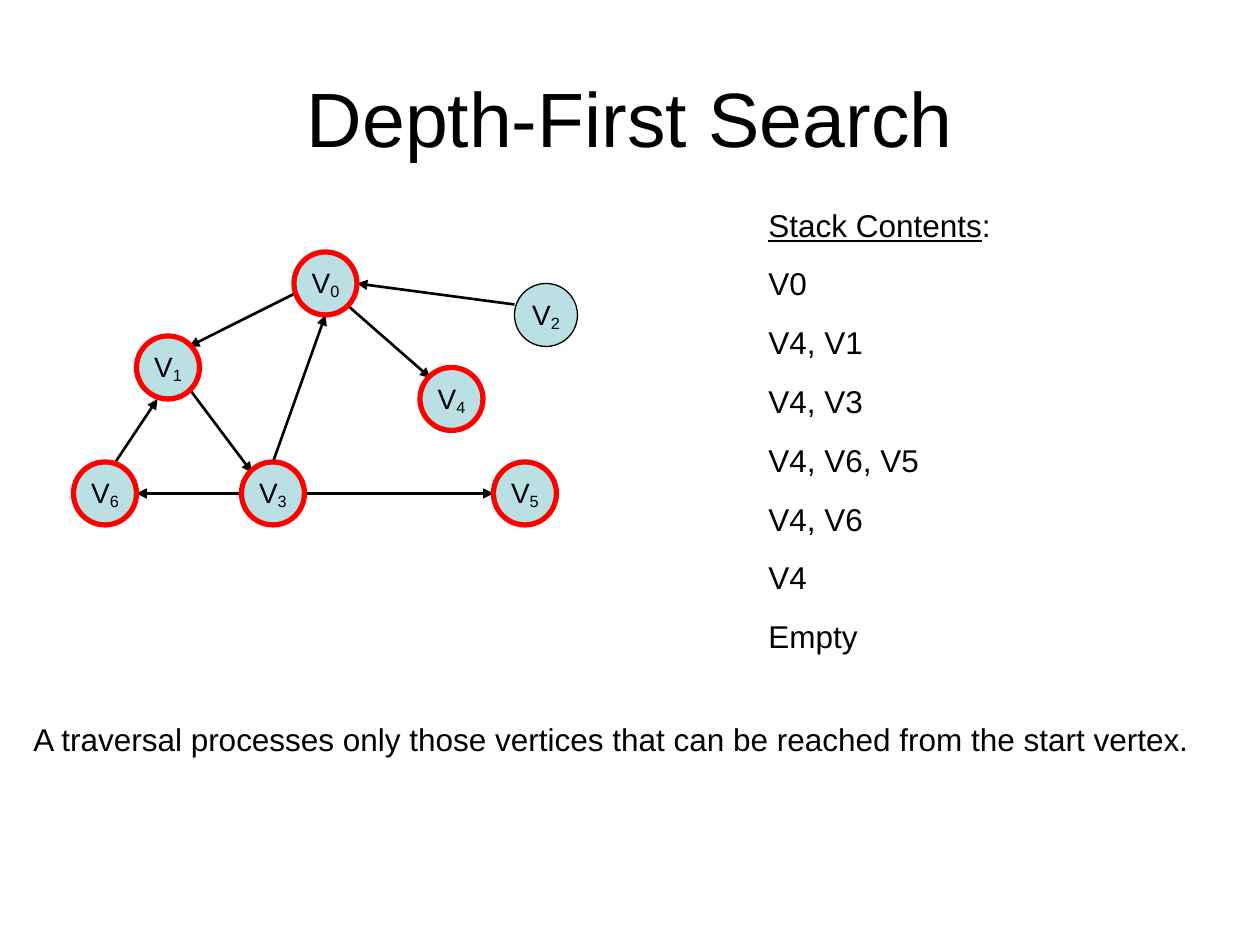
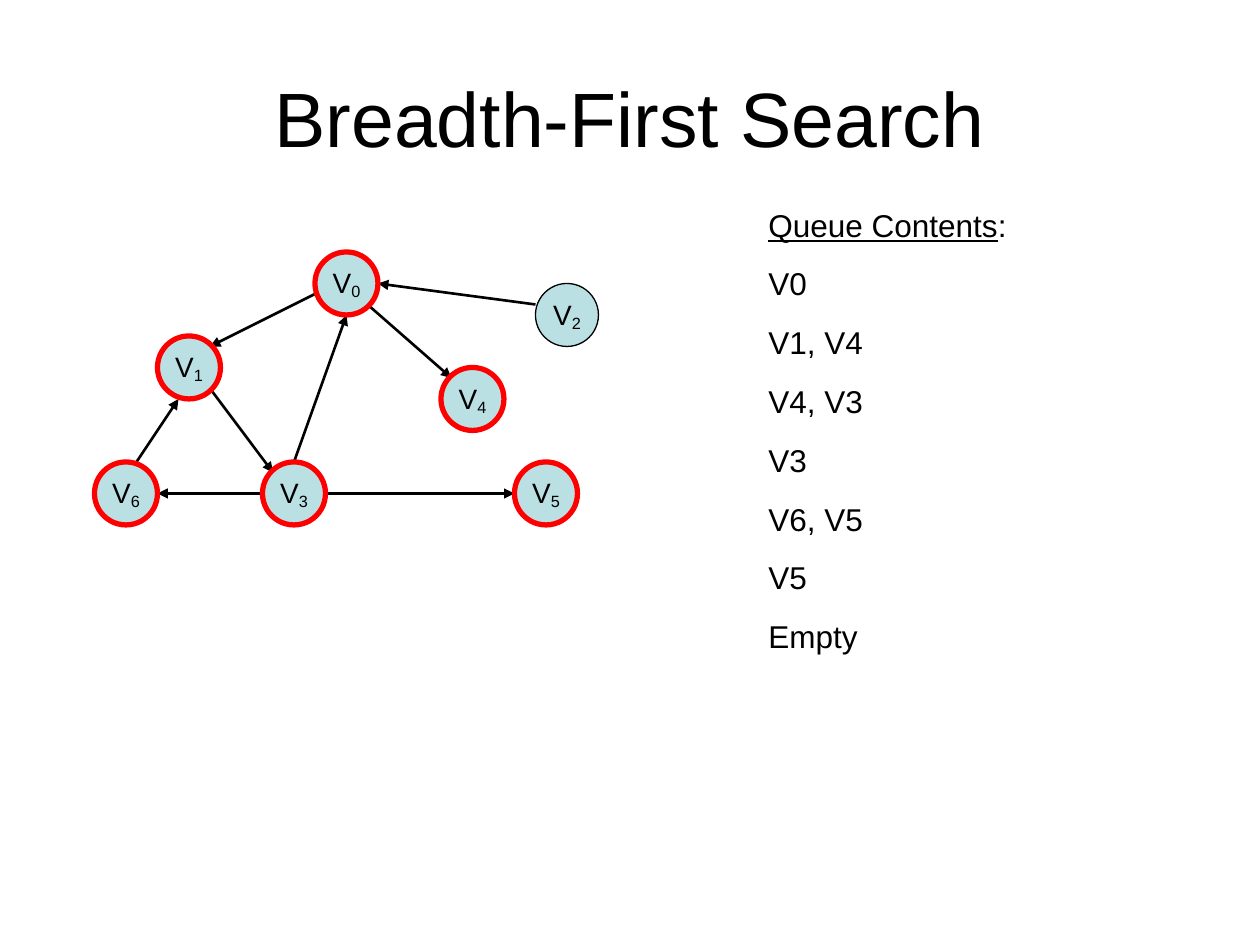
from lxml import etree
from pptx import Presentation
from pptx.dml.color import RGBColor
from pptx.enum import shapes, text
from pptx.oxml import ns
from pptx.util import Pt

BLACK, RED, AQUA = "000000", "FF0000", "BBE0E3"
SIZE = 36
NODES = {0: (168, 144), 2: (294, 162), 4: (240, 210), 3: (138, 264),
         1: (78, 192), 6: (42, 264), 5: (282, 264)}
EDGES = [(294, 174, 204, 162), (156, 264, 186, 180), (198, 174, 246, 216),
         (168, 168, 108, 198), (66, 264, 90, 228), (138, 282, 78, 282),
         (174, 282, 282, 282), (108, 222, 144, 270)]
PAGES = [
    ("Depth-First Search", "Stack Contents", 0,
     ["V0", "V4, V1", "V4, V3", "V4, V6, V5", "V4, V6", "V4", "Empty"],
     "A traversal processes only those vertices that can be reached from the start vertex."),
    ("Breadth-First Search", "Queue Contents", 12,
     ["V0", "V1, V4", "V4, V3", "V3", "V6, V5", "V5", "Empty"], None),
]


def hue(code):
    return RGBColor.from_string(code)


def write(slide, box, lines, size):
    frame = slide.shapes.add_textbox(*map(Pt, box)).text_frame
    frame.word_wrap = True
    for i, line in enumerate(lines):
        para = frame.paragraphs[0] if i == 0 else frame.add_paragraph()
        if i:
            para.space_before = Pt(12)
        para.text = line
        para.font.name = "Arial"
        para.font.size = Pt(size)
        para.font.color.rgb = hue(BLACK)
    return frame


deck = Presentation()
deck.slide_width, deck.slide_height = Pt(720), Pt(540)

for title, head, shift, steps, note in PAGES:
    slide = deck.slides.add_slide(deck.slide_layouts[6])
    frame = write(slide, (36, 21.6, 648, 90), [title], 44)
    frame.vertical_anchor = text.MSO_ANCHOR.MIDDLE
    frame.paragraphs[0].alignment = text.PP_ALIGN.CENTER

    for x1, y1, x2, y2 in EDGES:
        edge = slide.shapes.add_connector(
            shapes.MSO_CONNECTOR.STRAIGHT,
            Pt(x1 + shift), Pt(y1), Pt(x2 + shift), Pt(y2))
        edge.line.color.rgb = hue(BLACK)
        edge.line.width = Pt(1.5)
        tip = etree.SubElement(edge.line._get_or_add_ln(), ns.qn("a:tailEnd"))
        tip.set("type", "triangle")
        etree.SubElement(edge._element.spPr, ns.qn("a:effectLst"))

    for num, (x, y) in NODES.items():
        node = slide.shapes.add_shape(
            shapes.MSO_SHAPE.OVAL, Pt(x + shift), Pt(y), Pt(SIZE), Pt(SIZE))
        node.shadow.inherit = False
        node.fill.solid()
        node.fill.fore_color.rgb = hue(AQUA)
        seen = num != 2
        node.line.color.rgb = hue(RED if seen else BLACK)
        node.line.width = Pt(3 if seen else 0.75)
        frame = node.text_frame
        frame.word_wrap = False
        frame.vertical_anchor = text.MSO_ANCHOR.MIDDLE
        para = frame.paragraphs[0]
        para.alignment = text.PP_ALIGN.CENTER
        para.add_run().text = "V"
        sub = para.add_run()
        sub.text = str(num)
        sub.font._element.set("baseline", "-15000")
        para.font.name = "Arial"
        para.font.size = Pt(16)
        para.font.color.rgb = hue(BLACK)

    frame = write(slide, (432, 114, 288, 259.2), [head, *steps], 18)
    first = frame.paragraphs[0]
    first.runs[0].font.underline = True
    first.add_run().text = ":"
    if note:
        write(slide, (12, 408, 684, 28.8), [note], 18)

deck.save("out.pptx")
